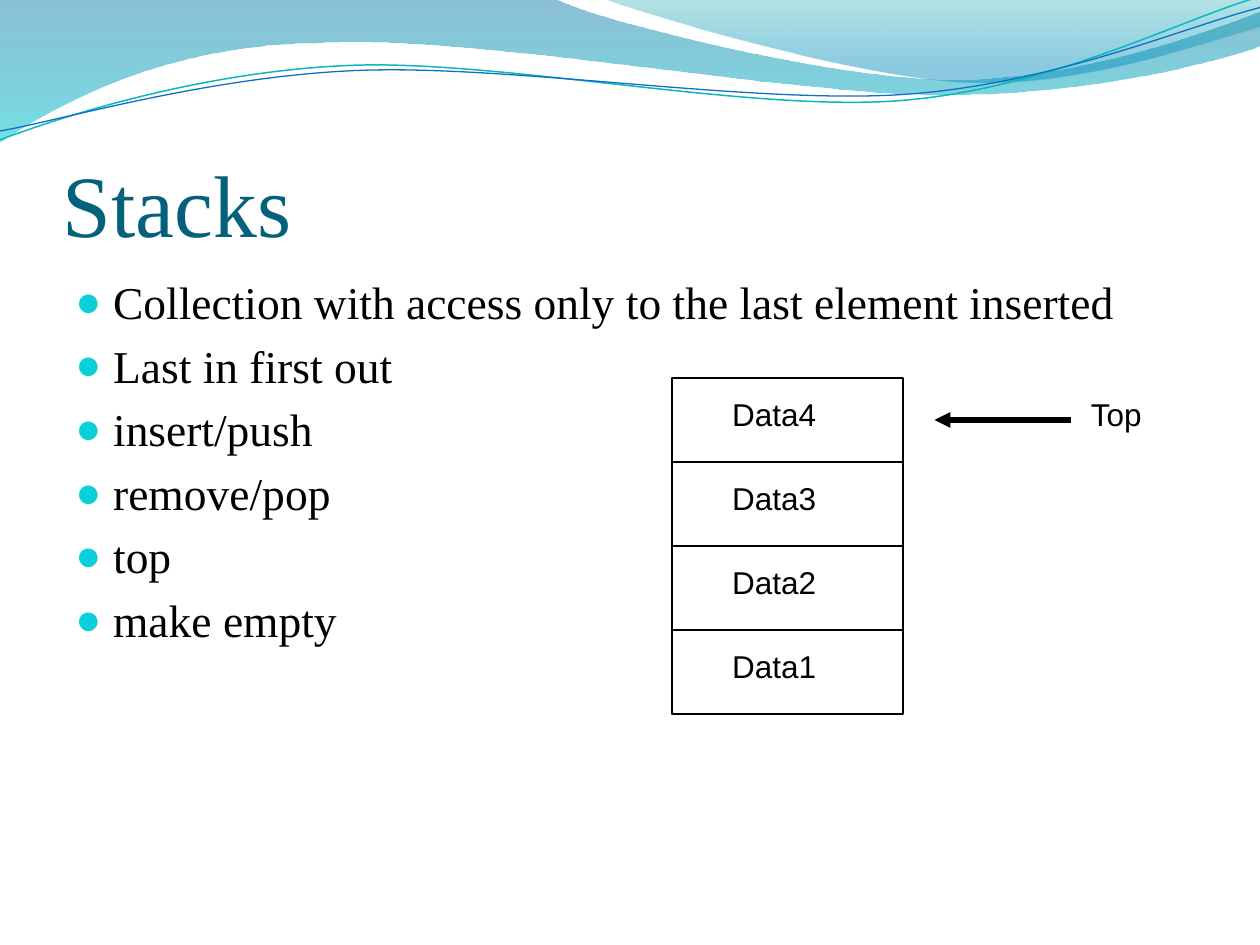
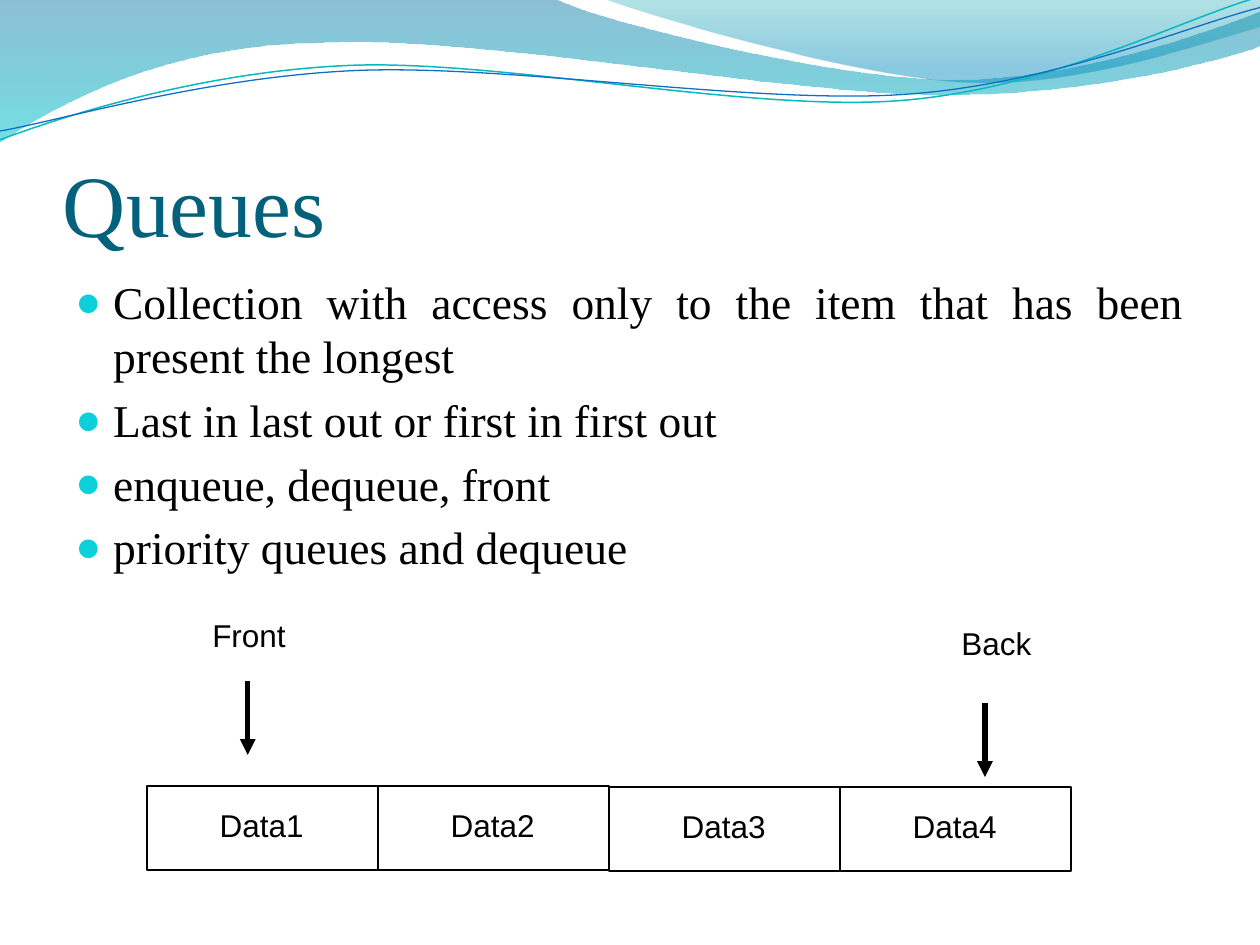
import pptx
import pptx.util
import pptx.dml.color
import pptx.enum.shapes
import pptx.enum.text
import pptx.oxml.ns
import lxml.etree

INK = pptx.dml.color.RGBColor(0x00, 0x00, 0x00)
TITLE_BLUE = pptx.dml.color.RGBColor(0x04, 0x61, 0x7B)
BAND_BLUE = pptx.dml.color.RGBColor(0x00, 0x74, 0xA1)
BAND_CYAN = pptx.dml.color.RGBColor(0x00, 0xC6, 0xCF)
CREST_TEAL = pptx.dml.color.RGBColor(0x00, 0xA1, 0xA9)
CREST_BLUE = pptx.dml.color.RGBColor(0x00, 0x8B, 0xBF)
WAVE_TEAL = pptx.dml.color.RGBColor(0x0A, 0xB8, 0xBF)
WAVE_BLUE = pptx.dml.color.RGBColor(0x0F, 0x6F, 0xC6)
BULLET_CYAN = pptx.dml.color.RGBColor(0x0B, 0xD0, 0xD9)

SERIF, SANS = "Times New Roman", "Arial"
qn = pptx.oxml.ns.qn
Pt = pptx.util.Pt
ALIGN = pptx.enum.text.PP_ALIGN

deck = pptx.Presentation()
deck.slide_width = pptx.util.Inches(10)
deck.slide_height = pptx.util.Inches(7.5)
TENTH = deck.slide_width / 10
GRID = deck.slide_width / 60
CELL_W, CELL_H = 11, 4
LABEL_W, LABEL_H = 7.45, 3.4

band_outline = [
    (0, -0.01), (4.4, -0.01),
    (4.76, 0.17, 6.64, 0.63, 7.58, 0.63), (8.53, 0.63, 9.58, 0.26, 10, 0.09),
    (10.01, 0.36),
    (9.83, 0.44, 8.7, 0.76, 7.46, 0.75), (6.22, 0.75, 3.82, 0.28, 2.57, 0.34),
    (1.29, 0.35, 0.46, 0.83, -0.01, 1.13), (0, -0.01),
]
crest_outline = [
    (4.79, -0.01),
    (5.09, 0.11, 6.82, 0.62, 7.69, 0.65), (8.56, 0.69, 9.61, 0.32, 10, 0.21),
    (10, 0), (4.79, -0.01),
]
teal_wave = [
    (0, 1.11),
    (0.48, 0.93, 1.58, 0.57, 2.77, 0.52), (3.95, 0.47, 5.93, 0.89, 7.13, 0.8),
    (8.33, 0.71, 9.38, 0.15, 9.98, -0.02),
]
blue_wave = [
    (0, 1.04),
    (0.47, 0.96, 1.64, 0.61, 2.83, 0.56), (4.03, 0.51, 5.97, 0.83, 7.17, 0.75),
    (8.36, 0.67, 9.41, 0.21, 10, 0.06),
]
filled_waves = [
    (band_outline, [(0, BAND_BLUE, 45), (1, BAND_CYAN, 55)]),
    (crest_outline, [(0, CREST_TEAL, 30), (0.8, CREST_BLUE, 45)]),
]
line_waves = [(teal_wave, WAVE_TEAL, 0.85), (blue_wave, WAVE_BLUE, 0.75)]

topics = [
    {
        "title": "Stacks",
        "points": [
            "Collection with access only to the last element inserted",
            "Last in first out", "insert/push", "remove/pop", "top", "make empty",
        ],
        "cells": [(f"Data{4 - row}", 32, 18 + row * CELL_H) for row in reversed(range(4))],
        "label_shift": (0, 0.5),
        "pointers": [("Top", 49.75, 18.5, 5.2, (51, 20, 44.5, 20))],
    },
    {
        "title": "Queues",
        "points": [
            "Collection with access only to the item that has been present the longest",
            "Last in last out or first in first out",
            "enqueue, dequeue, front", "priority queues and dequeue",
        ],
        "cells": [(f"Data{column + 1}", 7 + column * CELL_W, 37.43 + column // 2 * 0.05)
                  for column in range(4)],
        "label_shift": (0.6, 0.65),
        "pointers": [
            ("Front", 7.5, 29.05, 6.7, (11.8, 32.43, 11.8, 35.95)),
            ("Back", 43.3, 29.4, 6.4, (46.9, 33.5, 46.9, 37)),
        ],
    },
]


def draw_wave(slide, outline, closed):
    corners = [(round(step[-2] * TENTH), round(step[-1] * TENTH)) for step in outline]
    builder = slide.shapes.build_freeform(*corners[0])
    builder.add_line_segments(corners[1:], close=closed)
    wave = builder.convert_to_shape()
    wave.shadow.inherit = False
    segments = list(wave._element.iter(qn("a:lnTo")))
    for segment, step in zip(segments, outline[1:]):
        if len(step) == 2:
            continue
        curve = lxml.etree.Element(qn("a:cubicBezTo"))
        for x, y in zip(step[::2], step[1::2]):
            lxml.etree.SubElement(curve, qn("a:pt"), x=str(round(x * TENTH) - wave.left),
                                  y=str(round(y * TENTH) - wave.top))
        segment.getparent().replace(segment, curve)
    return wave


def write(slide, box, lines, font, size, color, align):
    frame = slide.shapes.add_textbox(*[round(v * GRID) for v in box]).text_frame
    frame.word_wrap = True
    for i, line in enumerate(lines):
        paragraph = frame.paragraphs[0] if i == 0 else frame.add_paragraph()
        paragraph.alignment = align
        run = paragraph.add_run()
        run.text = line
        run.font.name = font
        run.font.size = Pt(size)
        run.font.color.rgb = color
    return frame


for topic in topics:
    slide = deck.slides.add_slide(deck.slide_layouts[6])

    for outline, stops in filled_waves:
        wave = draw_wave(slide, outline, True)
        wave.line.fill.background()
        wave.fill.gradient()
        wave.fill.gradient_angle = 270
        for stop, (position, color, _) in zip(wave.fill.gradient_stops, stops):
            stop.position = position
            stop.color.rgb = color
        tints = wave._element.spPr.iter(qn("a:srgbClr"))
        for tint, (_, _, opacity) in zip(list(tints), stops):
            lxml.etree.SubElement(tint, qn("a:alpha"), val=str(opacity * 1000))

    for outline, color, width in line_waves:
        wave = draw_wave(slide, outline, False)
        wave.fill.background()
        wave.line.color.rgb = color
        wave.line.width = Pt(width)

    heading = write(slide, (3, 4.64, 54, 7.5), [topic["title"]],
                    SERIF, 50, TITLE_BLUE, ALIGN.LEFT)
    heading.vertical_anchor = pptx.enum.text.MSO_ANCHOR.BOTTOM
    heading.margin_left = heading.margin_right = heading.margin_bottom = 0

    body = write(slide, (3, 12.75, 54, 28.8), topic["points"],
                 SERIF, 26, INK, ALIGN.JUSTIFY)
    for i, paragraph in enumerate(body.paragraphs):
        if i > 0:
            paragraph.space_before = Pt(5.2)
        marks = paragraph._p.get_or_add_pPr()
        marks.set("marL", str(round(1.8 * GRID)))
        marks.set("indent", str(round(-1.8 * GRID)))
        bullet_color = lxml.etree.SubElement(marks, qn("a:buClr"))
        lxml.etree.SubElement(bullet_color, qn("a:srgbClr"), val=str(BULLET_CYAN))
        lxml.etree.SubElement(marks, qn("a:buSzPct"), val="95000")
        lxml.etree.SubElement(marks, qn("a:buFont"), typeface=SANS)
        lxml.etree.SubElement(marks, qn("a:buChar"), char="●")

    shift_x, shift_y = topic["label_shift"]
    for label, left, top in topic["cells"]:
        cell = slide.shapes.add_shape(
            pptx.enum.shapes.MSO_SHAPE.RECTANGLE,
            *[round(v * GRID) for v in (left, top, CELL_W, CELL_H)])
        cell.shadow.inherit = False
        cell.fill.background()
        cell.line.color.rgb = INK
        cell.line.width = Pt(0.75)
        write(slide, (left + shift_x, top + shift_y, LABEL_W, LABEL_H), [label],
              SANS, 18, INK, ALIGN.RIGHT)

    for label, left, top, width, ends in topic["pointers"]:
        write(slide, (left, top, width, LABEL_H), [label], SANS, 18, INK, ALIGN.RIGHT)
        arrow = slide.shapes.add_connector(
            pptx.enum.shapes.MSO_CONNECTOR.STRAIGHT, *[round(v * GRID) for v in ends])
        arrow.line.color.rgb = INK
        arrow.line.width = Pt(3)
        lxml.etree.SubElement(arrow.line._get_or_add_ln(), qn("a:tailEnd"), type="triangle")
        lxml.etree.SubElement(arrow._element.spPr, qn("a:effectLst"))

deck.save("out.pptx")
